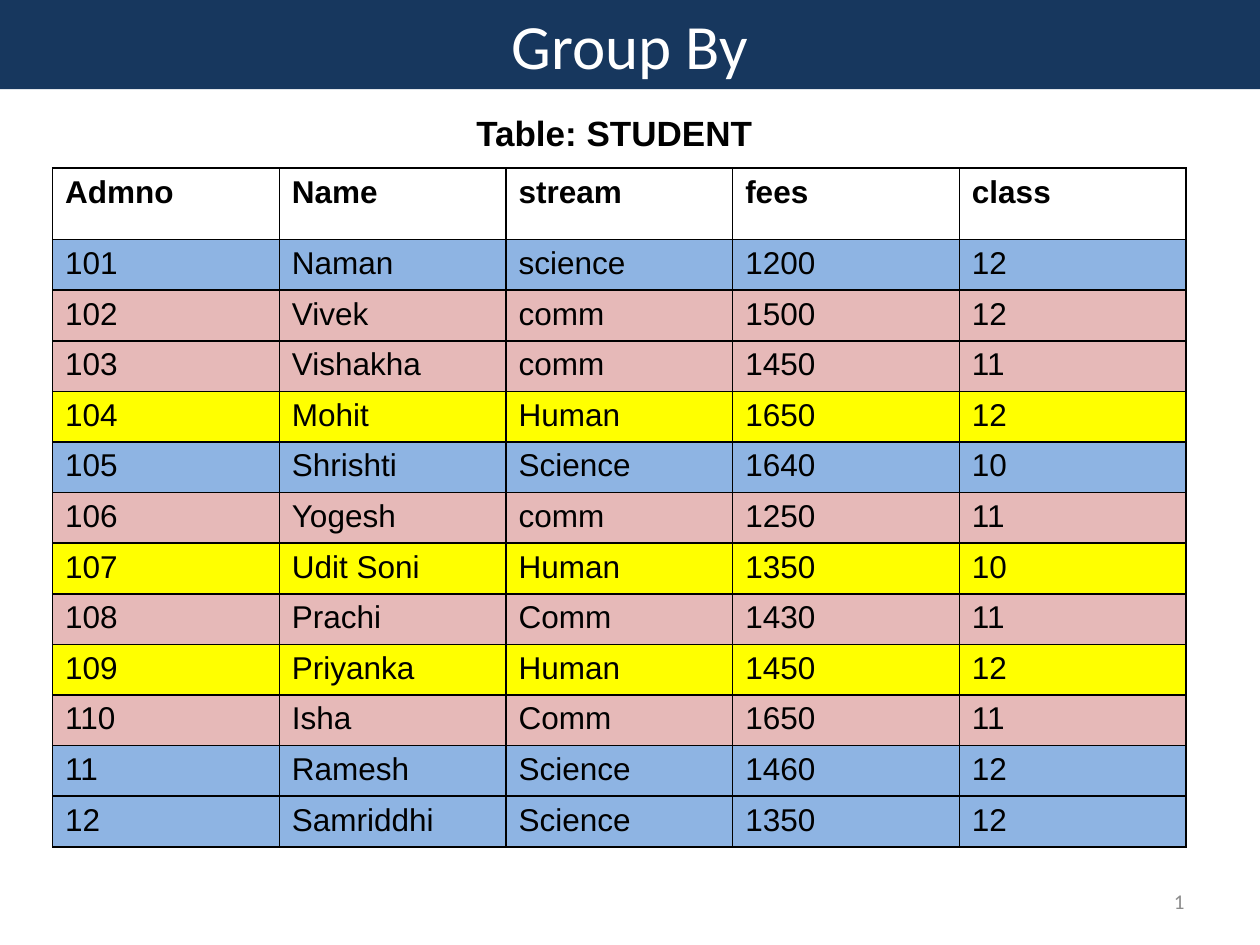
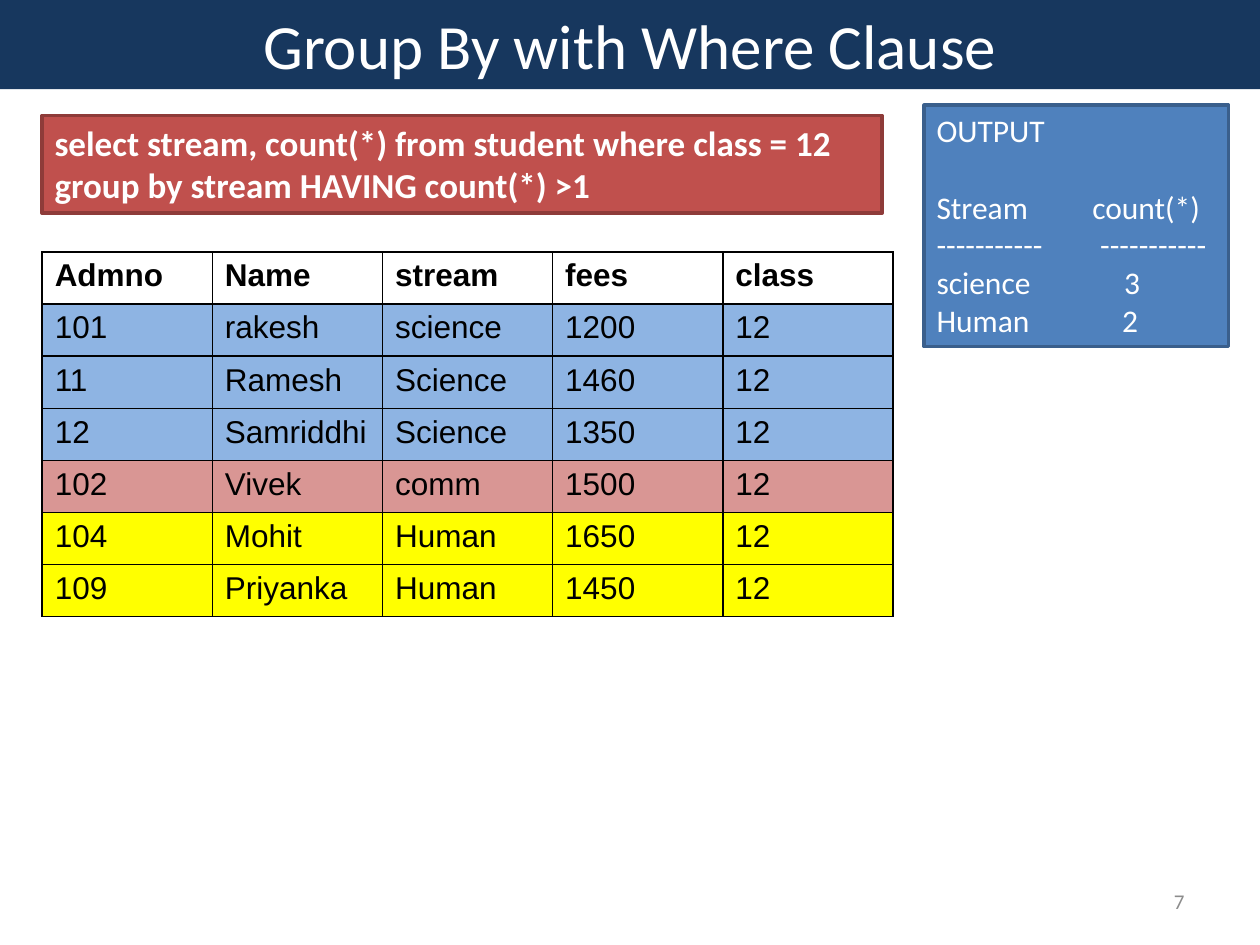
from lxml.etree import SubElement
from pptx import Presentation
from pptx.dml.color import RGBColor
from pptx.enum.shapes import MSO_SHAPE
from pptx.enum.text import MSO_ANCHOR, PP_ALIGN
from pptx.oxml import parse_xml
from pptx.oxml.ns import nsdecls, qn
from pptx.util import Cm, Pt

NAVY = RGBColor(0x17, 0x37, 0x5E)
BLUE = RGBColor(0x4F, 0x81, 0xBD)
BLUE_EDGE = RGBColor(0x3A, 0x5F, 0x8C)
RED = RGBColor(0xC0, 0x50, 0x4D)
RED_EDGE = RGBColor(0x8E, 0x3B, 0x39)
SKY = RGBColor(0x8E, 0xB4, 0xE3)
PINK = RGBColor(0xE6, 0xB9, 0xB8)
ROSE = RGBColor(0xD9, 0x96, 0x94)
YELLOW = RGBColor(0xFF, 0xFF, 0x00)
WHITE = RGBColor(0xFF, 0xFF, 0xFF)
BLACK = RGBColor(0x00, 0x00, 0x00)
GREY = RGBColor(0x8C, 0x8C, 0x8C)

COLUMNS = ("Admno", "Name", "stream", "fees", "class")
ALL_STUDENTS = [
    ("101", "Naman", "science", "1200", "12"),
    ("102", "Vivek", "comm", "1500", "12"),
    ("103", "Vishakha", "comm", "1450", "11"),
    ("104", "Mohit", "Human", "1650", "12"),
    ("105", "Shrishti", "Science", "1640", "10"),
    ("106", "Yogesh", "comm", "1250", "11"),
    ("107", "Udit Soni", "Human", "1350", "10"),
    ("108", "Prachi", "Comm", "1430", "11"),
    ("109", "Priyanka", "Human", "1450", "12"),
    ("110", "Isha", "Comm", "1650", "11"),
    ("11", "Ramesh", "Science", "1460", "12"),
    ("12", "Samriddhi", "Science", "1350", "12"),
]
CLASS_12 = [
    ("101", "rakesh", "science", "1200", "12"),
    ("11", "Ramesh", "Science", "1460", "12"),
    ("12", "Samriddhi", "Science", "1350", "12"),
    ("102", "Vivek", "comm", "1500", "12"),
    ("104", "Mohit", "Human", "1650", "12"),
    ("109", "Priyanka", "Human", "1450", "12"),
]


def add_box(s, box, lines, size, color=WHITE, fill=None, edge=None, bold=False,
            font="Calibri", align=PP_ALIGN.LEFT, anchor=MSO_ANCHOR.TOP):
    """Add a text box, or a rectangle if a fill is given; box is in cm."""
    place = [Cm(v) for v in box]
    if fill is None:
        sp = s.shapes.add_textbox(*place)
    else:
        sp = s.shapes.add_shape(MSO_SHAPE.RECTANGLE, *place)
        sp.shadow.inherit = False
        sp.fill.solid()
        sp.fill.fore_color.rgb = fill
        if edge is None:
            sp.line.fill.background()
        else:
            sp.line.color.rgb = edge
            sp.line.width = Pt(2)
    tf = sp.text_frame
    tf.word_wrap = True
    tf.vertical_anchor = anchor
    for i, line in enumerate(lines):
        p = tf.add_paragraph() if i else tf.paragraphs[0]
        p.alignment = align
        r = p.add_run()
        r.text = line
        r.font.size, r.font.name, r.font.bold = Pt(size), font, bold
        r.font.color.rgb = color
    return tf


def add_students(s, left, top, students, col_width, header_height, row_height, comm_fill):
    """Add a student table whose rows are coloured by stream; lengths in cm."""
    stream_fills = {"science": SKY, "comm": comm_fill, "human": YELLOW}
    rows = [COLUMNS, *students]
    table = s.shapes.add_table(
        len(rows), len(COLUMNS), Cm(left), Cm(top), Cm(col_width * len(COLUMNS)),
        Cm(header_height + row_height * len(students))).table
    table.first_row = table.horz_banding = False
    for column in table.columns:
        column.width = Cm(col_width)
    for i, values in enumerate(rows):
        table.rows[i].height = Cm(row_height if i else header_height)
        for j, value in enumerate(values):
            cell = table.cell(i, j)
            if i:
                cell.fill.solid()
                cell.fill.fore_color.rgb = stream_fills[values[2].lower()]
            else:
                cell.fill.background()
            r = cell.text_frame.paragraphs[0].add_run()
            r.text = value
            r.font.size, r.font.name, r.font.bold = Pt(18), "Arial", i == 0
            r.font.color.rgb = BLACK
            tc_pr = cell._tc.get_or_add_tcPr()
            for k, side in enumerate("LRTB"):
                tc_pr.insert(k, parse_xml(
                    f'<a:ln{side} {nsdecls("a")} w="12700"><a:solidFill>'
                    f'<a:srgbClr val="{BLACK}"/></a:solidFill></a:ln{side}>'))


prs = Presentation()
prs.slide_width, prs.slide_height = Cm(25.4), Cm(19.05)

slides = []
for title, number in (("Group By", "1"), ("Group By with Where Clause", "7")):
    s = prs.slides.add_slide(prs.slide_layouts[6])
    add_box(s, (18.2, 17.66, 5.93, 1.01), [number], 12, GREY,
            align=PP_ALIGN.RIGHT, anchor=MSO_ANCHOR.MIDDLE)
    add_box(s, (0, 0, 25.4, 1.8), [title], 36, fill=NAVY, align=PP_ALIGN.CENTER)
    slides.append(s)
group_by, where_clause = slides

# Slide 1: the whole table
add_students(group_by, 1.06, 3.39, ALL_STUDENTS, 4.57, 1.44, 1.02, PINK)
add_box(group_by, (1.06, 2.12, 22.65, 1.11), ["Table: STUDENT"], 20, BLACK,
        bold=True, font="Arial", align=PP_ALIGN.CENTER)

# Slide 2: query, matching rows and result
add_students(where_clause, 0.85, 5.08, CLASS_12, 3.43, 1.05, 1.05, ROSE)
output = add_box(where_clause, (18.63, 2.12, 6.14, 4.87),
                 ["OUTPUT", "Stream\tcount(*)", "-----------\t-----------",
                  "science\t3", "Human\t2"], 18, fill=BLUE, edge=BLUE_EDGE)
output.paragraphs[1].space_before = Pt(22)
for p, tab in zip(output.paragraphs[1:], (3.14, 3.3, 3.78, 3.74)):
    tabs = SubElement(p._p.get_or_add_pPr(), qn("a:tabLst"))
    SubElement(tabs, qn("a:tab"), pos=str(Cm(tab)), algn="l")
add_box(where_clause, (0.85, 2.33, 16.93, 1.97),
        ["select stream, count(*) from student where class = 12 "
         "group by stream HAVING count(*) >1"], 20, fill=RED, edge=RED_EDGE, bold=True)

prs.save("out.pptx")
